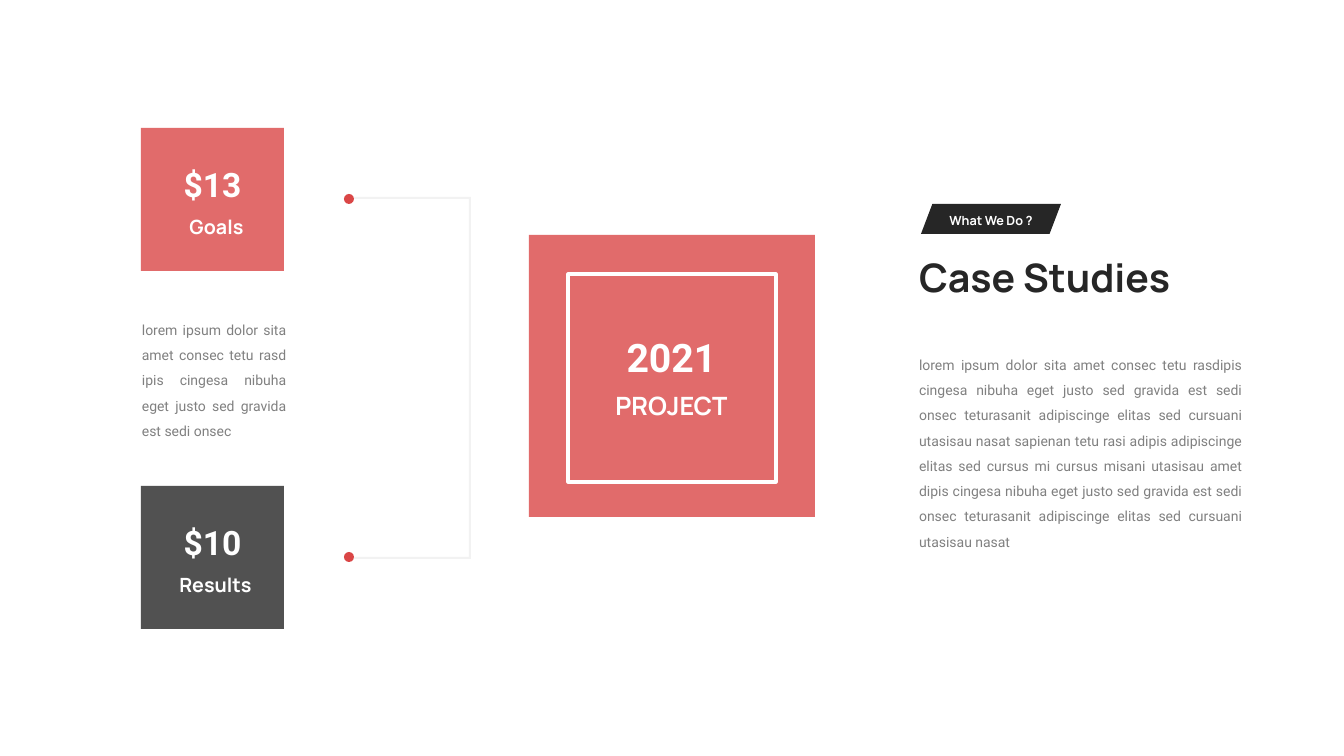
from pptx import Presentation
from pptx.dml.color import RGBColor
from pptx.enum.shapes import MSO_SHAPE
from pptx.enum.text import MSO_ANCHOR, MSO_AUTO_SIZE, PP_ALIGN
from pptx.oxml.ns import qn
from pptx.util import Pt
from lxml.etree import SubElement

PX = 914400 / 100.8
COLORS = {"red": "DA4646", "dark": "262626", "gray": "808080",
          "light": "F2F2F2", "white": "FFFFFF"}
FORMATS = {
    "amount": {"size": Pt(24), "name": "Roboto", "bold": True},
    "label": {"size": Pt(14), "name": "Manrope", "bold": True},
    "year": {"size": Pt(28), "name": "Roboto", "bold": True},
    "project": {"size": Pt(18), "name": "Manrope", "bold": True},
    "title": {"size": Pt(28), "name": "Manrope", "bold": True},
    "tag": {"size": Pt(9), "name": "Manrope", "bold": True},
    "copy": {"size": Pt(10), "name": "Roboto", "bold": False},
}

prs = Presentation()
prs.slide_width, prs.slide_height = round(1344 * PX), round(756 * PX)
slide = prs.slides.add_slide(prs.slide_layouts[1])


def add_block(kind, box, color=None, opacity=100):
    block = slide.shapes.add_shape(kind, *(round(v * PX) for v in box))
    block.shadow.inherit = False
    block.line.fill.background()
    if color is None:
        block.fill.background()
    else:
        block.fill.solid()
        block.fill.fore_color.rgb = RGBColor.from_string(COLORS[color])
    if opacity < 100:
        rgb = block.fill._xPr.find(qn("a:solidFill"))[0]
        SubElement(rgb, qn("a:alpha")).set("val", str(opacity * 1000))
    return block


def write(text, box, style, color="white", align=PP_ALIGN.CENTER,
          spacing=1.0, holder=None, wrap=True):
    lengths = [round(v * PX) for v in box]
    holder = holder or slide.shapes.add_textbox(*lengths)
    holder.left, holder.top, holder.width, holder.height = lengths
    frame = holder.text_frame
    frame.text = text
    frame.word_wrap = wrap
    frame.auto_size = MSO_AUTO_SIZE.NONE
    frame.vertical_anchor = MSO_ANCHOR.TOP
    paragraph = frame.paragraphs[0]
    for key, value in {"alignment": align, "line_spacing": spacing,
                       "space_before": Pt(0)}.items():
        setattr(paragraph, key, value)
    font = paragraph.runs[0].font
    for key, value in FORMATS[style].items():
        setattr(font, key, value)
    font.color.rgb = RGBColor.from_string(COLORS[color])
    return paragraph


# Bracket joining goals and results
left, inner, right = 353, 469, 471
top, bottom, thick = 197, 559, 2
builder = slide.shapes.build_freeform(left, top, scale=PX)
builder.add_line_segments([
    (right, top), (right, bottom), (left, bottom), (left, bottom - thick),
    (inner, bottom - thick), (inner, top + thick), (left, top + thick)])
bracket = builder.convert_to_shape()
bracket.shadow.inherit = False
bracket.fill.solid()
bracket.fill.fore_color.rgb = RGBColor.from_string(COLORS["light"])
bracket.line.fill.background()

# Goal and result cards with the bracket's end dots
cards = [("$13", "Goals", 165, 128, "red"), ("$10", "Results", 164, 486, "dark")]
for amount, label, label_left, card_top, color in cards:
    add_block(MSO_SHAPE.RECTANGLE, (141, card_top, 143, 143), color, 80)
    write(amount, (161, card_top + 31, 103, 50), "amount")
    write(label, (label_left, card_top + 82, 103, 34), "label")
    add_block(MSO_SHAPE.OVAL, (344, card_top + 66, 10, 10), "red")

write("lorem ipsum dolor sita amet consec tetu rasd ipis cingesa nibuha eget "
      "justo sed gravida est sedi onsec",
      (132, 308, 164, 137), "copy", "gray", PP_ALIGN.JUSTIFY, 1.5)

# Project square with its frame
add_block(MSO_SHAPE.RECTANGLE, (529, 235, 286, 282), "red", 80)
project_frame = add_block(MSO_SHAPE.RECTANGLE, (568, 274, 208, 208))
project_frame.line.color.rgb = RGBColor.from_string(COLORS["white"])
project_frame.line.width = Pt(2.25)
write("2021", (568, 328, 207, 57), "year")
write("PROJECT", (568, 385, 207, 40), "project")

# Case studies: tag, title and description
tag = add_block(MSO_SHAPE.PARALLELOGRAM, (921, 204, 140, 30), "dark")
tag.adjustments[0] = 0.38
write("What We Do ?", (933, 208, 116, 25), "tag", wrap=False)
write("Case Studies", (909, 248, 296, 57), "title", "dark", PP_ALIGN.LEFT,
      holder=slide.shapes.title)
description = write(
    "lorem ipsum dolor sita amet consec tetu rasdipis cingesa nibuha eget justo "
    "sed gravida est sedi onsec teturasanit adipiscinge elitas sed cursuani "
    "utasisau nasat sapienan tetu rasi adipis adipiscinge elitas sed cursus mi "
    "cursus misani utasisau amet dipis cingesa nibuha eget justo sed gravida est "
    "sedi onsec teturasanit adipiscinge elitas sed cursuani utasisau nasat",
    (909, 343, 343, 214), "copy", "gray", PP_ALIGN.JUSTIFY, 1.5,
    holder=slide.placeholders[1])
bullet_format = description._p.get_or_add_pPr()
bullet_format.set("marL", "0")
bullet_format.set("indent", "0")
SubElement(bullet_format, qn("a:buNone"))

prs.save("out.pptx")
